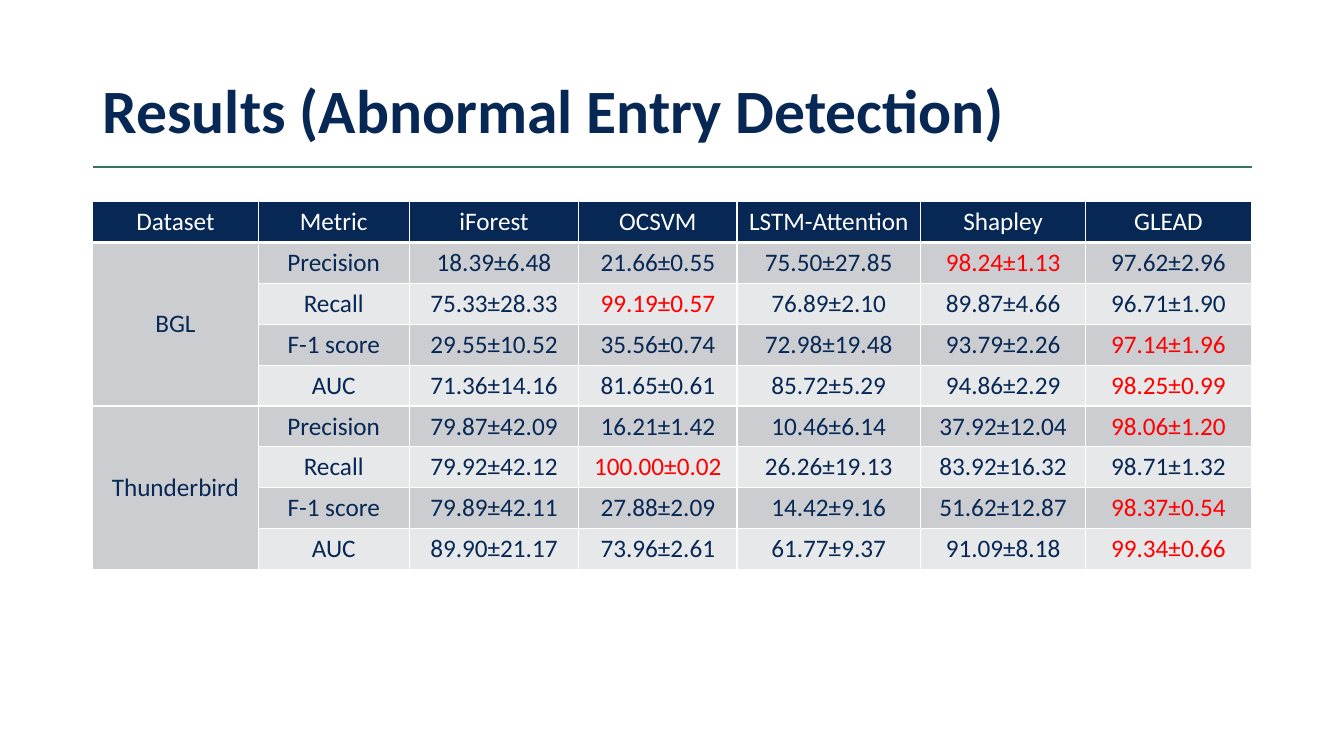
from dataclasses import dataclass

from lxml import etree
from pptx import Presentation
from pptx.dml.color import RGBColor
from pptx.enum.shapes import MSO_CONNECTOR
from pptx.enum.text import MSO_ANCHOR, PP_ALIGN
from pptx.oxml.ns import qn
from pptx.util import Inches, Pt

TITLE = "Results (Abnormal Entry Detection)"
HEADERS = ["Dataset", "Metric", "iForest", "OCSVM", "LSTM-Attention", "Shapley", "GLEAD"]
RESULTS = {
    "BGL": [
        ("Precision", "18.39±6.48", "21.66±0.55", "75.50±27.85", "98.24±1.13", "97.62±2.96"),
        ("Recall", "75.33±28.33", "99.19±0.57", "76.89±2.10", "89.87±4.66", "96.71±1.90"),
        ("F-1 score", "29.55±10.52", "35.56±0.74", "72.98±19.48", "93.79±2.26", "97.14±1.96"),
        ("AUC", "71.36±14.16", "81.65±0.61", "85.72±5.29", "94.86±2.29", "98.25±0.99"),
    ],
    "Thunderbird": [
        ("Precision", "79.87±42.09", "16.21±1.42", "10.46±6.14", "37.92±12.04", "98.06±1.20"),
        ("Recall", "79.92±42.12", "100.00±0.02", "26.26±19.13", "83.92±16.32", "98.71±1.32"),
        ("F-1 score", "79.89±42.11", "27.88±2.09", "14.42±9.16", "51.62±12.87", "98.37±0.54"),
        ("AUC", "89.90±21.17", "73.96±2.61", "61.77±9.37", "91.09±8.18", "99.34±0.66"),
    ],
}
COL_WIDTHS = [1.64, 1.5, 1.68, 1.57, 1.82, 1.64, 1.64]
LEFT, WIDTH = 0.92, 11.5
TABLE_TOP, TABLE_HEIGHT = 2, 3.65


@dataclass(frozen=True)
class Theme:
    font: str = "Calibri"
    navy: str = "072854"
    green: str = "377362"
    white: str = "FFFFFF"
    best: str = "FF0000"
    bands: tuple = ("CCCDD1", "E7E8E9")
    title_size: int = 44
    cell_size: int = 18


THEME = Theme()


def style(p, size, color, bold=False):
    p.font.name = THEME.font
    p.font.size = Pt(size)
    p.font.bold = bold
    p.font.color.rgb = RGBColor.from_string(color)


def add_title(s):
    sp = s.shapes.add_textbox(Inches(LEFT), Inches(0.4), Inches(WIDTH), Inches(1.45))
    tf = sp.text_frame
    tf.word_wrap = True
    tf.vertical_anchor = MSO_ANCHOR.MIDDLE
    p = tf.paragraphs[0]
    p.text = TITLE
    p.line_spacing = 0.9
    style(p, THEME.title_size, THEME.navy, bold=True)


def add_rule(s):
    y = Inches(1.66)
    line = s.shapes.add_connector(
        MSO_CONNECTOR.STRAIGHT, Inches(LEFT), y, Inches(LEFT + WIDTH), y)
    line.line.color.rgb = RGBColor.from_string(THEME.green)
    line.line.width = Pt(1.5)
    etree.SubElement(line._element.spPr, qn("a:effectLst"))


def set_borders(cell, row):
    tc_pr = cell._tc.get_or_add_tcPr()
    widths = {"L": 1, "R": 1, "T": 3 if row == 1 else 1, "B": 3 if row == 0 else 1}
    for side, width in widths.items():
        ln = etree.SubElement(tc_pr, qn(f"a:ln{side}"), w=str(Pt(width)))
        fill = etree.SubElement(ln, qn("a:solidFill"))
        etree.SubElement(fill, qn("a:srgbClr"), val=THEME.white)


def fill_cell(cell, row, text, fill, color):
    set_borders(cell, row)
    cell.fill.solid()
    cell.fill.fore_color.rgb = RGBColor.from_string(fill)
    p = cell.text_frame.paragraphs[0]
    p.text = text
    p.alignment = PP_ALIGN.CENTER
    style(p, THEME.cell_size, color)


def mean(score):
    return float(score.split("±")[0])


def add_results(s):
    n_rows = 1 + sum(len(metrics) for metrics in RESULTS.values())
    table = s.shapes.add_table(
        n_rows, len(HEADERS), Inches(LEFT), Inches(TABLE_TOP),
        Inches(WIDTH), Inches(TABLE_HEIGHT)).table
    for column, width in zip(table.columns, COL_WIDTHS):
        column.width = Inches(width)
    for col, header in enumerate(HEADERS):
        fill_cell(table.cell(0, col), 0, header, THEME.navy, THEME.white)

    row = 1
    for dataset, metrics in RESULTS.items():
        first = table.cell(row, 0)
        first.merge(table.cell(row + len(metrics) - 1, 0))
        first.vertical_anchor = MSO_ANCHOR.MIDDLE
        for i, (metric, *scores) in enumerate(metrics):
            band = THEME.bands[i % 2]
            best = max(scores, key=mean)
            label = dataset if i == 0 else ""
            fill_cell(table.cell(row, 0), row, label, THEME.bands[0], THEME.navy)
            for col, text in enumerate([metric, *scores], start=1):
                color = THEME.best if text == best else THEME.navy
                fill_cell(table.cell(row, col), row, text, band, color)
            row += 1


def main():
    prs = Presentation()
    prs.slide_width, prs.slide_height = Inches(13.33), Inches(7.5)
    s = prs.slides.add_slide(prs.slide_layouts[6])
    add_title(s)
    add_rule(s)
    add_results(s)
    prs.save("out.pptx")


if __name__ == "__main__":
    main()
